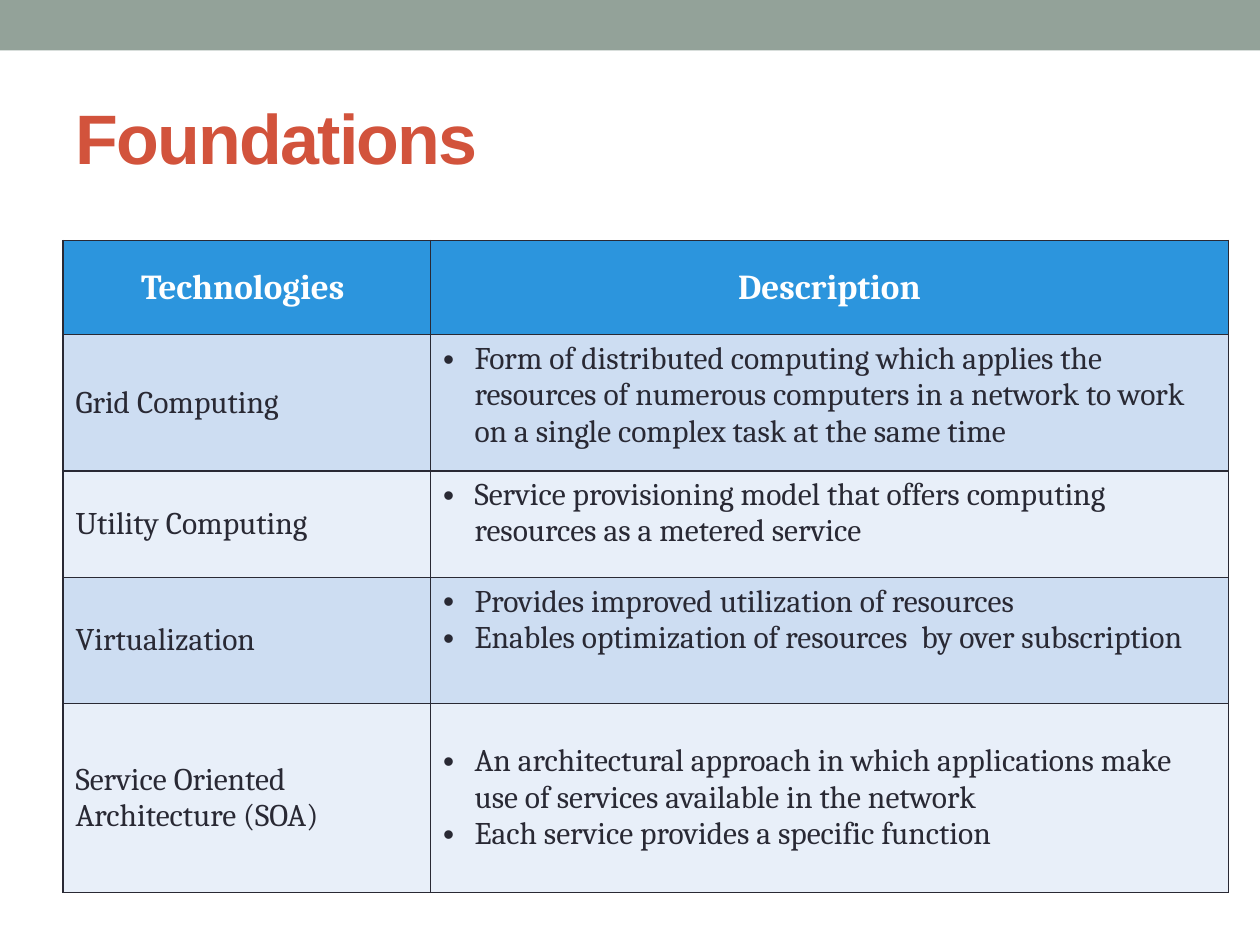
from lxml.etree import SubElement
from pptx import Presentation
from pptx.dml.color import RGBColor
from pptx.enum.shapes import MSO_SHAPE
from pptx.enum.text import MSO_ANCHOR, PP_ALIGN
from pptx.oxml import parse_xml
from pptx.oxml.ns import nsdecls, qn
from pptx.util import Pt

WHITE = RGBColor(0xFF, 0xFF, 0xFF)
SAGE = RGBColor(0x93, 0xA2, 0x99)
RED = RGBColor(0xD2, 0x53, 0x3C)
INK = RGBColor(0x29, 0x29, 0x34)
BLUE = RGBColor(0x2C, 0x95, 0xDD)
BANDS = [RGBColor(0xCD, 0xDD, 0xF2), RGBColor(0xE8, 0xEF, 0xF9)]

TITLE = "Foundations"
HEADERS = ["Technologies ", "Description"]
# technology, description points, anchor of the description
ROWS = [
    ("Grid Computing",
     ["Form of distributed computing which applies the resources of numerous "
      "computers in a network to work on a single complex task at the same time"],
     MSO_ANCHOR.TOP),
    ("Utility Computing",
     ["Service provisioning model that offers computing resources as a metered service"],
     MSO_ANCHOR.TOP),
    ("Virtualization",
     ["Provides improved utilization of resources",
      "Enables optimization of resources  by over subscription"],
     MSO_ANCHOR.TOP),
    ("Service Oriented Architecture (SOA)",
     ["An architectural approach in which applications make use of services "
      "available in the network",
      "Each service provides a specific function"],
     MSO_ANCHOR.MIDDLE),
]
COL_WIDTHS = [210, 456]
ROW_HEIGHTS = [53.8, 77.8, 61, 72, 108]
TABLE_LEFT, TABLE_TOP = 36, 137.5


def style_run(r, font, size, color, bold):
    r.font.name, r.font.size, r.font.bold = font, Pt(size), bold
    r.font.color.rgb = color


def add_bullet(p):
    pPr = p._p.get_or_add_pPr()
    pPr.set("marL", str(Pt(18)))
    pPr.set("indent", str(-Pt(18)))
    SubElement(pPr, qn("a:buFont")).set("typeface", "Arial")
    SubElement(pPr, qn("a:buChar")).set("char", "•")


def add_borders(cell):
    tcPr = cell._tc.get_or_add_tcPr()
    for i, side in enumerate("LRTB"):
        tcPr.insert(i, parse_xml(
            f'<a:ln{side} {nsdecls("a")} w="{Pt(1)}"><a:solidFill>'
            f'<a:srgbClr val="{INK}"/></a:solidFill></a:ln{side}>'))


def fill_cell(cell, lines, fill, size=18, color=INK, bold=False,
              align=PP_ALIGN.LEFT, anchor=MSO_ANCHOR.MIDDLE, bullets=False):
    cell.fill.solid()
    cell.fill.fore_color.rgb = fill
    cell.vertical_anchor = anchor
    add_borders(cell)
    tf = cell.text_frame
    tf.text = "\n".join(lines)
    for p in tf.paragraphs:
        p.alignment = align
        if bullets:
            add_bullet(p)
        style_run(p.runs[0], "Cambria", size, color, bold)


prs = Presentation()
prs.slide_width, prs.slide_height = Pt(720), Pt(540)
s = prs.slides.add_slide(prs.slide_layouts[5])

band = s.shapes.add_shape(MSO_SHAPE.RECTANGLE, 0, 0, Pt(720), Pt(28.8))
band.shadow.inherit = False
band.fill.solid()
band.fill.fore_color.rgb = SAGE
band.line.fill.background()

title = s.shapes.title
title.left, title.top, title.width, title.height = Pt(36), Pt(41.8), Pt(648), Pt(72)
tf = title.text_frame
tf.text = TITLE
tf.vertical_anchor = MSO_ANCHOR.MIDDLE
p = tf.paragraphs[0]
p.alignment = PP_ALIGN.LEFT
r = p.runs[0]
style_run(r, "Arial", 40, RED, True)
r._r.get_or_add_rPr().set("spc", "-100")

table = s.shapes.add_table(
    len(ROW_HEIGHTS), len(COL_WIDTHS), Pt(TABLE_LEFT), Pt(TABLE_TOP),
    Pt(sum(COL_WIDTHS)), Pt(sum(ROW_HEIGHTS))).table
for column, width in zip(table.columns, COL_WIDTHS):
    column.width = Pt(width)
for row, height in zip(table.rows, ROW_HEIGHTS):
    row.height = Pt(height)

for col, header in enumerate(HEADERS):
    fill_cell(table.cell(0, col), [header], BLUE, 20, WHITE, True, PP_ALIGN.CENTER)
for i, (technology, points, anchor) in enumerate(ROWS):
    fill = BANDS[i % len(BANDS)]
    fill_cell(table.cell(i + 1, 0), [technology], fill)
    fill_cell(table.cell(i + 1, 1), points, fill, anchor=anchor, bullets=True)

prs.save("out.pptx")
